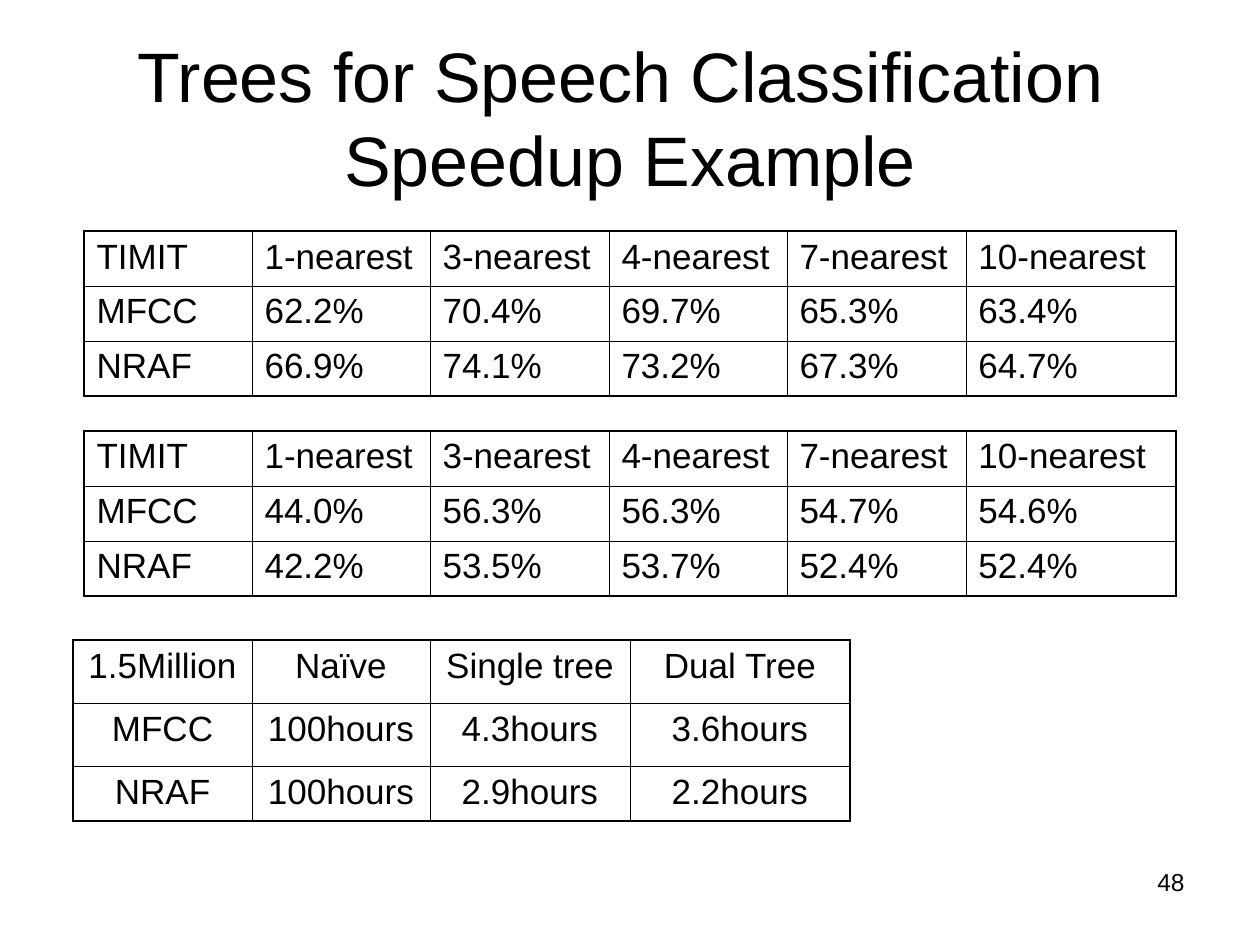
import lxml.etree
import pptx
import pptx.dml.color
import pptx.enum.text
import pptx.oxml.ns
import pptx.util

TITLE_LINES = ["Trees for Speech Classification ", "Speedup Example"]
PAGE_NUMBER = "48"
NEIGHBOURS = ["TIMIT", "1-nearest", "3-nearest", "4-nearest", "7-nearest", "10-nearest"]
NEIGHBOUR_COLUMNS = [168, 178, 179, 178, 179, 210]
NEIGHBOUR_ROWS = [55, 55, 55]

LEFT = pptx.enum.text.PP_ALIGN.LEFT
CENTER = pptx.enum.text.PP_ALIGN.CENTER
RIGHT = pptx.enum.text.PP_ALIGN.RIGHT

TABLES = [
    {"left": 73, "top": 640, "align": CENTER,
     "columns": [179, 178, 200, 220], "rows": [63, 63, 55],
     "cells": [["1.5Million", "Naïve", "Single tree", "Dual Tree"],
               ["MFCC", "100hours", "4.3hours", "3.6hours"],
               ["NRAF", "100hours", "2.9hours", "2.2hours"]]},
    {"left": 84, "top": 231, "align": LEFT,
     "columns": NEIGHBOUR_COLUMNS, "rows": NEIGHBOUR_ROWS,
     "cells": [NEIGHBOURS,
               ["MFCC", "62.2%", "70.4%", "69.7%", "65.3%", "63.4%"],
               ["NRAF", "66.9%", "74.1%", "73.2%", "67.3%", "64.7%"]]},
    {"left": 84, "top": 431, "align": LEFT,
     "columns": NEIGHBOUR_COLUMNS, "rows": NEIGHBOUR_ROWS,
     "cells": [NEIGHBOURS,
               ["MFCC", "44.0%", "56.3%", "56.3%", "54.7%", "54.6%"],
               ["NRAF", "42.2%", "53.5%", "53.7%", "52.4%", "52.4%"]]},
]

BLACK = pptx.dml.color.RGBColor(0, 0, 0)
FONT = "Arial"
OUTER_LINE, INNER_LINE = 1.08, 0.45


def px(length):
    """Turn pixels, 126 to the inch, into EMU."""
    return pptx.util.Inches(length / 126)


def add_run(paragraph, text, size):
    run = paragraph.add_run()
    run.text = text
    run.font.name = FONT
    run.font.size = pptx.util.Pt(size)
    run.font.color.rgb = BLACK


def set_borders(cell, widths):
    """Draw the left, right, top and bottom lines, with widths in points."""
    qn = pptx.oxml.ns.qn
    properties = cell._tc.get_or_add_tcPr()
    for index, (side, width) in enumerate(zip("LRTB", widths)):
        line = lxml.etree.Element(qn(f"a:ln{side}"), w=str(pptx.util.Pt(width)))
        fill = lxml.etree.SubElement(line, qn("a:solidFill"))
        lxml.etree.SubElement(fill, qn("a:srgbClr"), val=str(BLACK))
        properties.insert(index, line)


def add_table(slide, left, top, align, columns, rows, cells):
    table = slide.shapes.add_table(
        len(rows), len(columns), px(left), px(top), px(sum(columns)), px(sum(rows))).table
    table.first_row = False
    table.horz_banding = False
    for column, width in zip(table.columns, columns):
        column.width = px(width)
    for row, height in zip(table.rows, rows):
        row.height = px(height)
    last_row, last_column = len(rows) - 1, len(columns) - 1
    for row_index, texts in enumerate(cells):
        for column_index, text in enumerate(texts):
            cell = table.cell(row_index, column_index)
            cell.fill.background()
            paragraph = cell.text_frame.paragraphs[0]
            paragraph.alignment = align
            add_run(paragraph, text, 20)
            outer_sides = (column_index == 0, column_index == last_column,
                           row_index == 0, row_index == last_row)
            set_borders(cell, [OUTER_LINE if outer else INNER_LINE for outer in outer_sides])


def add_title(slide):
    title = slide.shapes.title
    title.left, title.top, title.width, title.height = map(px, (63, 38, 1134, 157))
    frame = title.text_frame
    frame.vertical_anchor = pptx.enum.text.MSO_ANCHOR.MIDDLE
    frame.auto_size = pptx.enum.text.MSO_AUTO_SIZE.NONE
    paragraph = frame.paragraphs[0]
    paragraph.alignment = CENTER
    for index, line in enumerate(TITLE_LINES):
        if index:
            paragraph.add_line_break()
        add_run(paragraph, line, 40)


def add_page_number(slide):
    frame = slide.shapes.add_textbox(*map(px, (903, 861, 294, 66))).text_frame
    frame.word_wrap = True
    paragraph = frame.paragraphs[0]
    paragraph.alignment = RIGHT
    add_run(paragraph, PAGE_NUMBER, 14)


def main():
    presentation = pptx.Presentation()
    presentation.slide_width, presentation.slide_height = px(1260), px(945)
    slide = presentation.slides.add_slide(presentation.slide_layouts.get_by_name("Title Only"))
    add_title(slide)
    for table in TABLES:
        add_table(slide, **table)
    add_page_number(slide)
    presentation.save("out.pptx")


if __name__ == "__main__":
    main()
